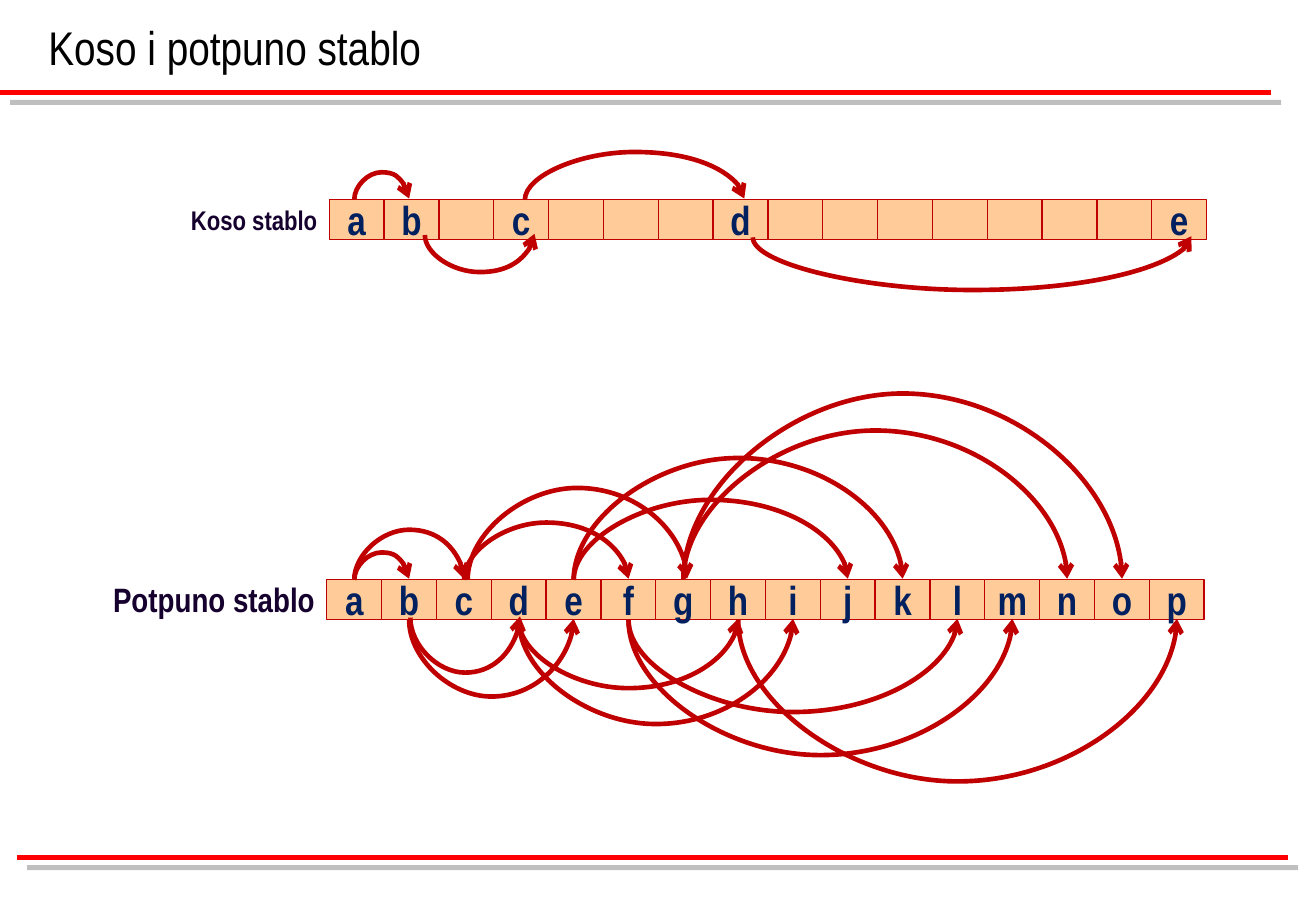
import pptx
import pptx.util
import pptx.dml.color
import pptx.enum.shapes
import pptx.enum.text
import pptx.oxml
import pptx.oxml.ns

Inches, Pt = pptx.util.Inches, pptx.util.Pt
RGB = pptx.dml.color.RGBColor.from_string
KIND = pptx.enum.shapes.MSO_CONNECTOR
ALIGN = pptx.enum.text.PP_ALIGN
ANCHOR = pptx.enum.text.MSO_ANCHOR
NS = pptx.oxml.ns.nsdecls("a")
COLORS = {"rule": "FF0000", "shade": "808080", "title": "000000", "label": "15002E",
          "letter": "002060", "cell": "FFCC99", "edge": "C00000"}


def write(shape, text, size, color, align, bold=False, anchor=ANCHOR.MIDDLE, before=0):
    frame = shape.text_frame
    frame.word_wrap = False
    frame.vertical_anchor = anchor
    para = frame.paragraphs[0]
    para.alignment = align
    para.space_before = Pt(before)
    run = para.add_run()
    run.text = text
    run.font.name = "Arial Narrow"
    run.font.size = Pt(size)
    run.font.bold = bold
    run.font.color.rgb = RGB(COLORS[color])


def draw(kind, x1, y1, x2, y2, color, weight, effect=""):
    """Add a connector whose only effect is the given XML."""
    line = slide.shapes.add_connector(kind, Inches(x1), Inches(y1), Inches(x2), Inches(y2))
    line.line.color.rgb = RGB(COLORS[color])
    line.line.width = Pt(weight)
    line._element.spPr.append(
        pptx.oxml.parse_xml(f"<a:effectLst {NS}>{effect}</a:effectLst>"))
    return line


deck = pptx.Presentation()
deck.slide_width, deck.slide_height = Inches(10.83), Inches(7.5)
slide = deck.slides.add_slide(deck.slide_layouts[6])

# Red rules with a grey shadow
shadow = (f'<a:outerShdw dist="{Pt(8.5)}" dir="2700000" algn="ctr" rotWithShape="0">'
          f'<a:srgbClr val="{COLORS["shade"]}"><a:alpha val="50000"/></a:srgbClr></a:outerShdw>')
for x, y in [(0, 0.76), (0.14, 7.06)]:
    draw(KIND.STRAIGHT, x, y, x + 10.46, y, "rule", 3, shadow)

title = slide.shapes.add_textbox(Inches(0.3), Inches(0), Inches(10.16), Inches(0.67))
write(title, "Koso i potpuno stablo", 28, "title", ALIGN.LEFT, anchor=ANCHOR.BOTTOM)

# Arrays: label, label size, left, top, letters,
# arcs as (from and to, height above the row, shift right, lift of the ends)
STEP, HIGH, ARC = 7.22 / 16, 0.33, 0.01
ARRAYS = [
    ("Potpuno stablo", 20, 2.69, 4.77, "abcdefghijklmnop", [
        ("ab", 0.23, 0, 0), ("ac", 0.42, 0, 0), ("bd", -0.46, 0.01, 0.02), ("be", -0.64, 0, 0),
        ("cf", 0.48, 0, 0), ("cg", 0.77, 0.03, 0), ("fl", -0.77, 0, 0), ("fm", -1.13, 0, 0),
        ("ej", 0.67, 0, 0), ("ek", 1.02, 0, 0), ("go", 1.56, 0, 0), ("gn", 1.25, 0, 0),
        ("dh", -0.57, 0, 0), ("di", -0.87, 0, 0), ("hp", -1.35, 0, 0)]),
    ("Koso stablo", 16, 2.71, 1.64, "ab c   d       e", [
        ("ab", 0.23, -0.02, 0), ("bc", -0.31, 0.11, 0.04),
        ("cd", 0.4, 0.03, 0), ("de", -0.44, 0.1, 0.02)]),
]
for name, size, left, top, letters, arcs in ARRAYS:
    label = slide.shapes.add_textbox(Inches(left - 2.08), Inches(top), Inches(2.08), Inches(HIGH))
    write(label, name, size, "label", ALIGN.RIGHT, True, before=size * 0.2)
    for i, letter in enumerate(letters):
        cell = slide.shapes.add_shape(
            pptx.enum.shapes.MSO_SHAPE.RECTANGLE,
            Inches(left + i * STEP), Inches(top), Inches(STEP), Inches(HIGH))
        cell.shadow.inherit = False
        cell.fill.solid()
        cell.fill.fore_color.rgb = RGB(COLORS["cell"])
        cell.line.color.rgb = RGB(COLORS["edge"])
        cell.line.width = Pt(0.75)
        if letter != " ":
            write(cell, letter, 24, "letter", ALIGN.CENTER, True, before=4.8)
    for (start, end), rise, shift, lift in arcs:
        first, last = letters.index(start), letters.index(end)
        mid = left + shift + (first + last + 1) / 2 * STEP
        half = (last - first) / 2 * STEP
        y = top - lift + (HIGH if rise < 0 else 0)
        # A thin upright curve, turned a quarter so that it bows up or down
        arc = draw(KIND.CURVE, mid + ARC / 2, y + half, mid - ARC / 2, y - half, "edge", 2.75)
        props = arc._element.spPr
        props.find(pptx.oxml.ns.qn("a:xfrm")).set("rot", "5400000")
        geom = props.find(pptx.oxml.ns.qn("a:prstGeom"))
        for old in list(geom):
            geom.remove(old)
        bow = round(rise / ARC * 100000)
        geom.append(pptx.oxml.parse_xml(
            f'<a:avLst {NS}><a:gd name="adj1" fmla="val {bow}"/></a:avLst>'))
        props.find(pptx.oxml.ns.qn("a:ln")).append(
            pptx.oxml.parse_xml(f'<a:tailEnd {NS} type="arrow"/>'))

deck.save("out.pptx")
